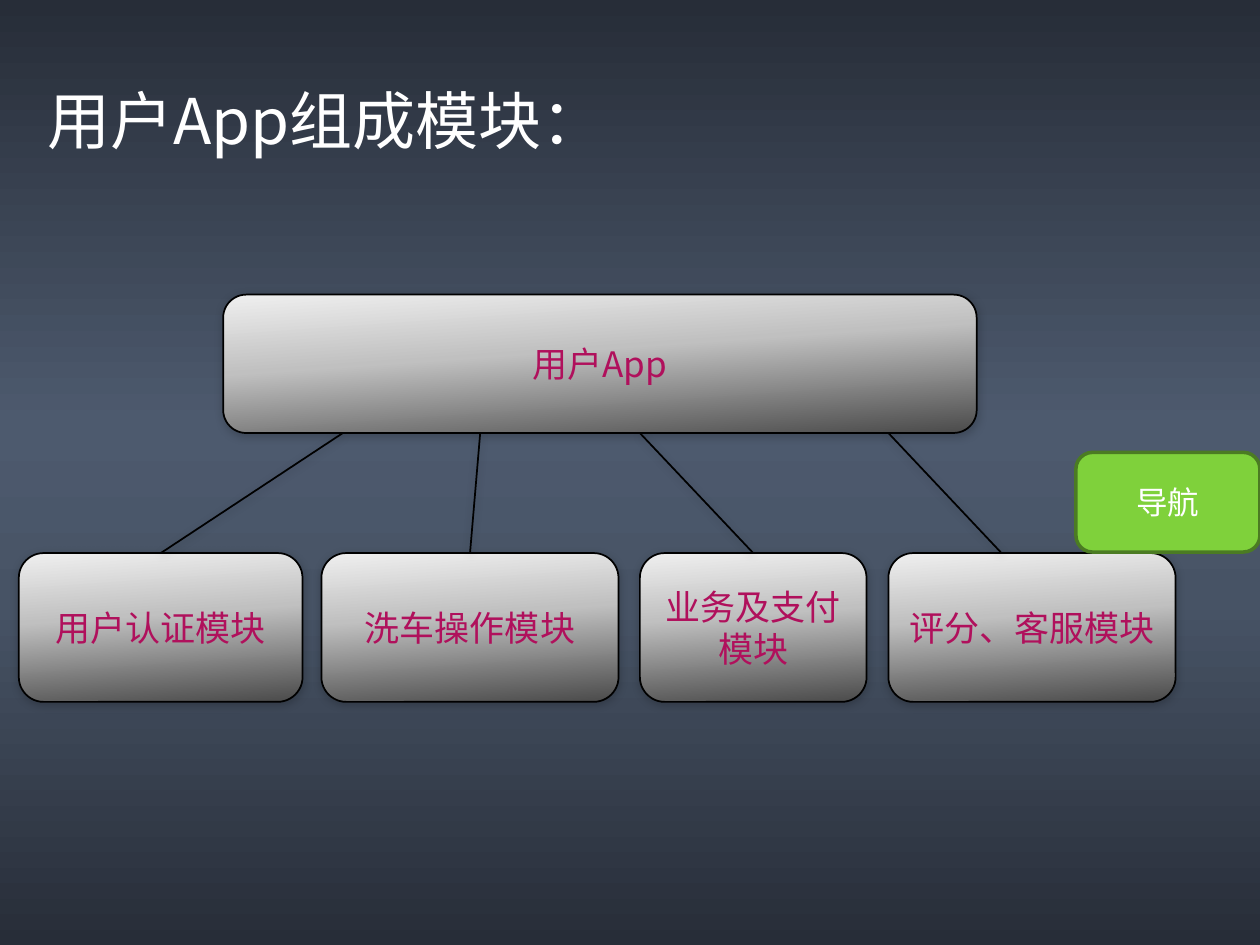
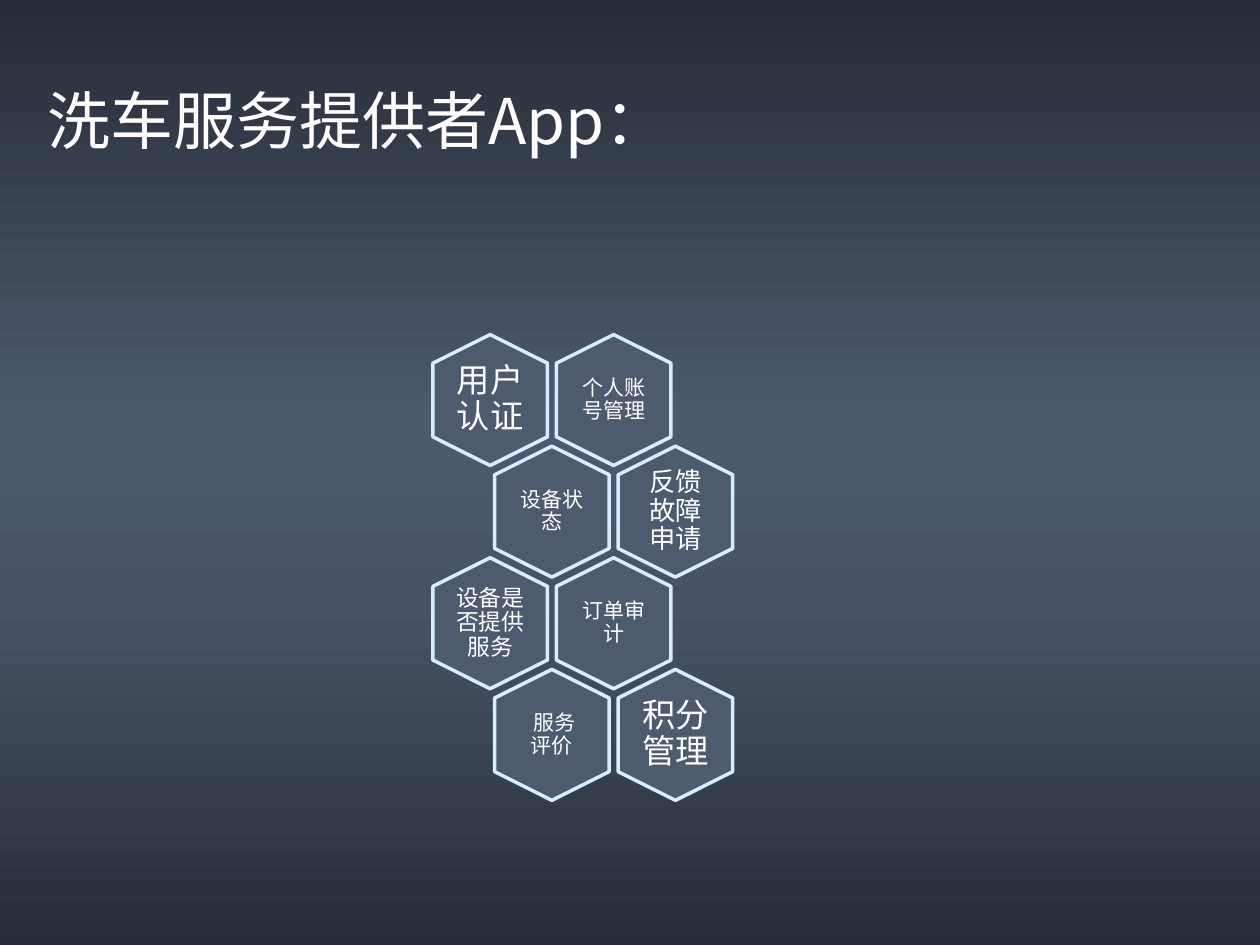
from lxml import etree
from pptx import Presentation
from pptx.dml.color import RGBColor
from pptx.enum.shapes import MSO_CONNECTOR, MSO_SHAPE
from pptx.enum.text import MSO_ANCHOR, MSO_AUTO_SIZE, PP_ALIGN
from pptx.oxml.ns import qn
from pptx.util import Cm, Pt

ROUNDED, HEXAGON = MSO_SHAPE.ROUNDED_RECTANGLE, MSO_SHAPE.HEXAGON
STRAIGHT = MSO_CONNECTOR.STRAIGHT
LEFT, CENTER = PP_ALIGN.LEFT, PP_ALIGN.CENTER
TOP, MIDDLE = MSO_ANCHOR.TOP, MSO_ANCHOR.MIDDLE
GROW = MSO_AUTO_SIZE.SHAPE_TO_FIT_TEXT
TOP_SIDE = 0

SANS, SLAB = "Noto Sans CJK JP", "Roboto Slab"
WHITE = RGBColor(0xFF, 0xFF, 0xFF)
BLACK = RGBColor(0x00, 0x00, 0x00)
MAGENTA = RGBColor(0xB0, 0x10, 0x5C)
GREEN = RGBColor(0x7F, 0xD1, 0x3B)
DARK_GREEN = RGBColor(0x4B, 0x7B, 0x23)
SLATE = RGBColor(0x4E, 0x5B, 0x6F)
ICE = RGBColor(0xD6, 0xEC, 0xFF)
NIGHT = RGBColor(0x27, 0x2D, 0x38)
BACKGROUND = [(0, NIGHT), (45, RGBColor(0x4D, 0x5A, 0x6E)),
              (64, RGBColor(0x47, 0x53, 0x65)), (100, NIGHT)]
SILVER = [(0, RGBColor(0xEF, 0xEF, 0xEF)), (42, RGBColor(0xC0, 0xC0, 0xC0)),
          (100, RGBColor(0x4B, 0x4B, 0x4B))]

# label, left, width, line start on the app box, line end (None: middle of top)
MODULES = [
    ("用户认证模块", 0.38, 5.72, 6.91, None),
    ("洗车操作模块", 6.48, 5.99, 9.68, None),
    ("业务及支付模块", 12.9, 4.57, 12.9, None),
    ("评分、客服模块", 17.91, 5.79, 17.91, 20.19),
]
FUNCTIONS = [
    [("用户认证", 19), ("个人账号管理", 12)],
    [("设备状态", 12), ("反馈故障申请", 15)],
    [("设备是否提供服务", 13), ("订单审计", 12)],
    [(" 服务评价", 12), ("积分管理", 19)],
]


def set_gradient(fill, owner, stops, angle):
    """Give fill, whose XML lies within owner, a linear gradient."""
    fill.gradient()
    gradient = owner.find(".//" + qn("a:gradFill"))
    stop_list = gradient.find(qn("a:gsLst"))
    for old_stop in list(stop_list):
        stop_list.remove(old_stop)
    for position, color in stops:
        stop = etree.SubElement(stop_list, qn("a:gs"), pos=str(position * 1000))
        etree.SubElement(stop, qn("a:srgbClr"), val=str(color))
    gradient.find(qn("a:lin")).set("ang", str(angle * 60000))


def set_shadow(part, soft=False):
    """Leave no shadow, or a soft one just below the part."""
    effects = etree.SubElement(part.element.spPr, qn("a:effectLst"))
    if soft:
        shadow = etree.SubElement(effects, qn("a:outerShdw"), blurRad=str(Pt(5)),
                                  dist=str(Pt(1)), dir="5400000", rotWithShape="0")
        color = etree.SubElement(shadow, qn("a:srgbClr"), val=str(BLACK))
        etree.SubElement(color, qn("a:alpha"), val="20000")


def write(part, text, size, color=WHITE, font=SANS, align=CENTER,
          anchor=MIDDLE, inset=None, spacing=None, after=None):
    frame = part.text_frame
    frame.word_wrap = True
    frame.vertical_anchor = anchor
    if inset is not None:
        frame.margin_left = frame.margin_right = Cm(inset)
        frame.margin_top = frame.margin_bottom = Cm(inset)
    paragraph = frame.paragraphs[0]
    paragraph.alignment = align
    paragraph.line_spacing = spacing
    paragraph.space_after = after
    run = paragraph.add_run()
    run.text = text
    run.font.size = Pt(size)
    run.font.color.rgb = color
    run.font.name = font
    properties = run.font._element if hasattr(run.font, "_element") else run._r.get_or_add_rPr()
    properties.set("lang", "zh-CN")
    etree.SubElement(properties, qn("a:ea"), typeface=SANS)


def add_box(shapes, kind, box, line, weight, fill=None):
    """Add an outlined shape, filled with one colour or else with silver."""
    shape = shapes.add_shape(kind, *map(Cm, box))
    if fill is None:
        set_gradient(shape.fill, shape.element, SILVER, 86)
    else:
        shape.fill.solid()
        shape.fill.fore_color.rgb = fill
    shape.line.color.rgb = line
    shape.line.width = Pt(weight)
    set_shadow(shape, soft=fill is None)
    return shape


def add_titled_slide(deck, title, width):
    slide = deck.slides.add_slide(deck.slide_layouts[6])
    set_gradient(slide.background.fill, slide.element, BACKGROUND, 90)
    heading = slide.shapes.add_textbox(Cm(0.71), Cm(1.52), Cm(width), Cm(1.8))
    write(heading, title, 36, align=LEFT, anchor=TOP)
    heading.text_frame.auto_size = GROW
    return slide


def add_module_tree(shapes, app_box, modules_top, modules_height):
    app = add_box(shapes, ROUNDED, app_box, BLACK, 1)
    write(app, "用户App", 20, MAGENTA)
    app_bottom = app.top + app.height
    branches = []
    for label, left, width, start, end in MODULES:
        module = add_box(shapes, ROUNDED, (left, modules_top, width, modules_height), BLACK, 1)
        write(module, label, 20, MAGENTA)
        branches.append((module, start, end))
    for module, start, end in branches:
        branch = shapes.add_connector(STRAIGHT, Cm(start), app_bottom,
                                      Cm(end or start), module.top)
        if end is None:
            branch.end_connect(module, TOP_SIDE)
        branch.line.color.rgb = BLACK
        branch.line.width = Pt(1)
        set_shadow(branch, soft=True)


def add_navigation(shapes, box):
    button = add_box(shapes, ROUNDED, box, DARK_GREEN, 2, GREEN)
    write(button, "导航", 18, font=SLAB)


def add_hexagon_cell(shapes, left, top, label, size):
    width, height = 2.64, 2.31
    label_width, label_height = 1.57, 1.83
    cell = add_box(shapes, HEXAGON, (left, top, width, height), ICE, 2, SLATE)
    cell.adjustments[0] = 0.25
    cell.rotation = 90
    caption = shapes.add_textbox(Cm(left + (width - label_width) / 2),
                                 Cm(top + (height - label_height) / 2),
                                 Cm(label_width), Cm(label_height))
    write(caption, label, size, font=SLAB, inset=0.12 if size == 12 else 0,
          spacing=0.9, after=Pt(round(size * 0.35, 1)))


def add_honeycomb(shapes, left, top):
    column_step, row_step = 2.49, 2.25
    comb = shapes.add_group_shape().shapes
    for row, cells in enumerate(FUNCTIONS):
        for column, (label, size) in enumerate(cells):
            shift = column + row % 2 / 2
            add_hexagon_cell(comb, left + shift * column_step,
                             top + row * row_step, label, size)


def main():
    deck = Presentation()
    deck.slide_width, deck.slide_height = Cm(25.4), Cm(19.05)

    user_app = add_titled_slide(deck, "用户App组成模块：", 11.79)
    add_module_tree(user_app.shapes, (4.5, 5.94, 15.19, 2.79), 11.15, 3)
    add_navigation(user_app.shapes, (21.69, 9.12, 3.71, 2.01))

    provider_app = add_titled_slide(deck, "洗车服务提供者App：", 13.06)
    add_honeycomb(provider_app.shapes, 8.56, 6.91)

    deck.save("out.pptx")


if __name__ == "__main__":
    main()
